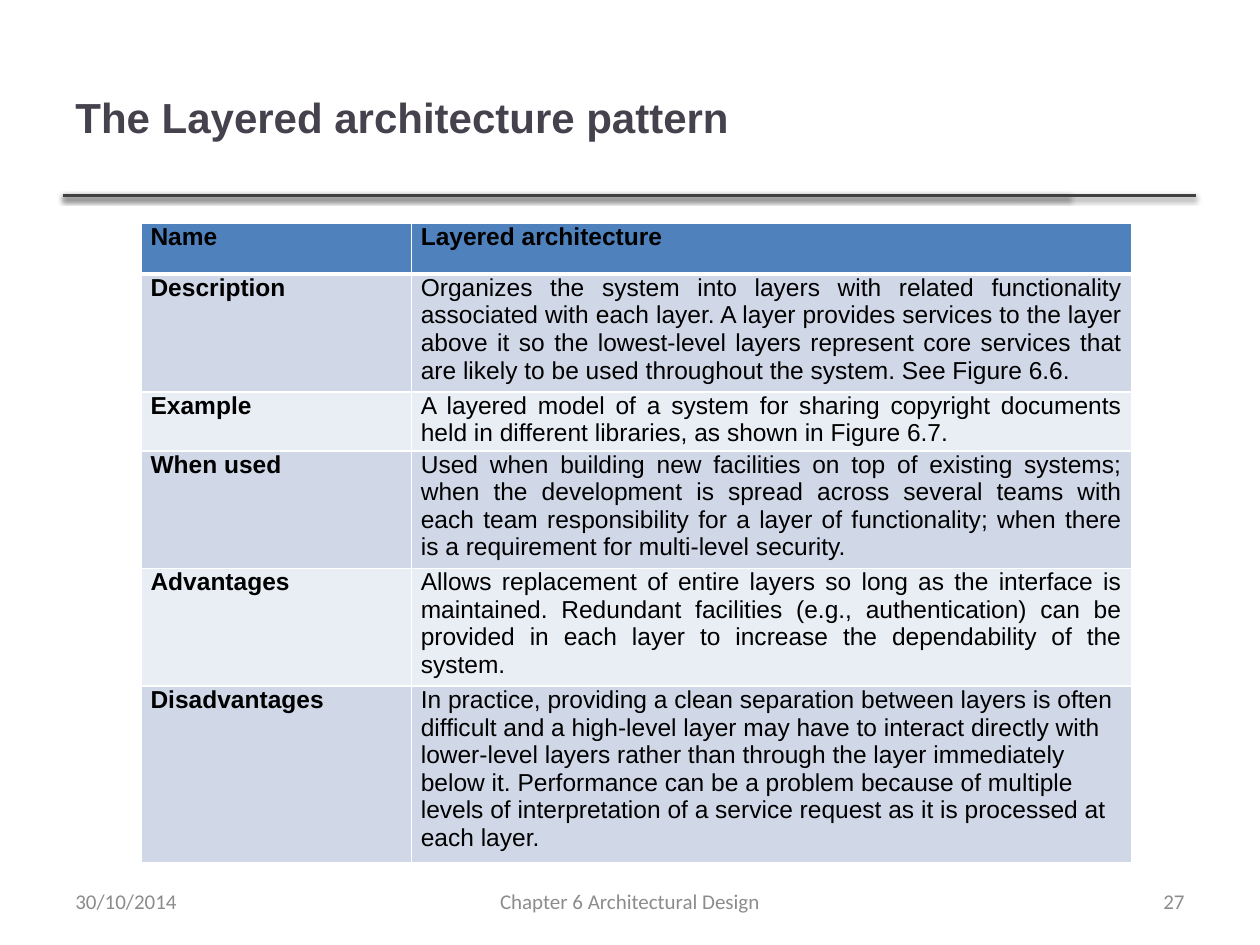
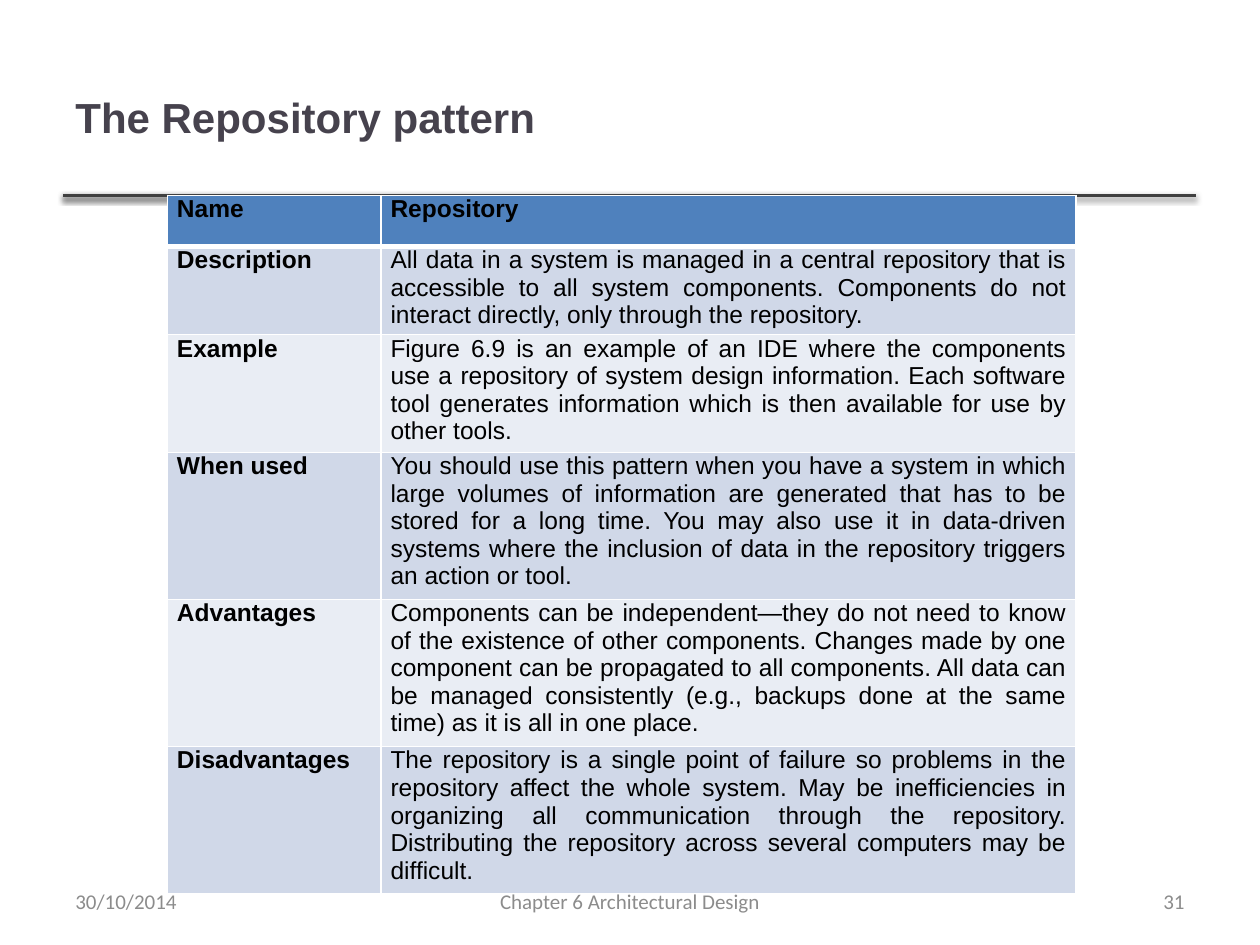
from lxml.etree import SubElement
from pptx import Presentation
from pptx.dml.color import RGBColor
from pptx.enum.shapes import MSO_CONNECTOR
from pptx.enum.text import MSO_ANCHOR, PP_ALIGN
from pptx.oxml.ns import qn
from pptx.util import Inches, Pt

# Slide grid: 100 columns by 75 rows
COLS, ROWS = 100, 75
WIDE, HIGH = Inches(10), Inches(7.5)

BLACK = RGBColor(0x00, 0x00, 0x00)
WHITE = RGBColor(0xFF, 0xFF, 0xFF)
TITLE = RGBColor(0x46, 0x42, 0x4D)
RULE = RGBColor(0x40, 0x40, 0x40)
FOOT = RGBColor(0x8C, 0x8C, 0x8C)
HEAD = RGBColor(0x4F, 0x81, 0xBD)
BANDS = [RGBColor(0xE9, 0xED, 0xF4), RGBColor(0xD0, 0xD8, 0xE8)]

LEFT, MID, RIGHT, FULL = (
    PP_ALIGN.LEFT, PP_ALIGN.CENTER, PP_ALIGN.RIGHT, PP_ALIGN.JUSTIFY)
LABELS = ["Name", "Description", "Example", "When used", "Advantages",
          "Disadvantages"]
ROW = 4.06  # least height of a table row; longer texts make it grow


def col(n):
    return round(WIDE * n / COLS)


def row(n):
    return round(HIGH * n / ROWS)


def place(box):
    x, y, w, h = box
    return col(x), row(y), col(w), row(h)


def write(frame, text, size=14, font="Arial", color=BLACK, bold=False,
          align=LEFT):
    frame.word_wrap = True
    para = frame.paragraphs[0]
    para.alignment = align
    run = para.add_run()
    run.text = text
    run.font.size = Pt(size)
    run.font.name = font
    run.font.bold = bold
    run.font.color.rgb = color


def label(slide, box, text, **style):
    frame = slide.shapes.add_textbox(*place(box)).text_frame
    frame.vertical_anchor = MSO_ANCHOR.MIDDLE
    write(frame, text, **style)


def shade(line):
    """Give a rule its soft shadow straight below."""
    effects = SubElement(line._element.spPr, qn("a:effectLst"))
    shadow = SubElement(effects, qn("a:outerShdw"), blurRad=str(Pt(3.1)),
                        dist=str(Pt(1.6)), dir="5400000", rotWithShape="0")
    tint = SubElement(shadow, qn("a:srgbClr"), val=str(BLACK))
    SubElement(tint, qn("a:alpha"), val="38000")


def header(slide, box, text):
    x, y, w, h = box
    # Two rules along the lower edge, the second one longer
    for end in (x + 79.9, x + 89.9):
        line = slide.shapes.add_connector(
            MSO_CONNECTOR.STRAIGHT, col(x), row(y + h), col(end), row(y + h))
        line.line.color.rgb = RULE
        line.line.width = Pt(2)
        shade(line)
    label(slide, box, text, size=24, color=TITLE, bold=True)


def footer(slide, box, page):
    x, y, w, h = box
    side, main = 23.3, 31.7
    parts = [(x, side, "30/10/2014", LEFT),
             (x + (w - main) / 2, main, "Chapter 6 Architectural Design", MID),
             (x + w - side, side, str(page), RIGHT)]
    for left, width, text, align in parts:
        label(slide, (left, y, width, h), text, size=12, font="Calibri",
              color=FOOT, align=align)


def border(cell, **widths):
    props = cell._tc.get_or_add_tcPr()
    for side in "LRTB":
        line = SubElement(props, qn("a:ln" + side),
                          w=str(Pt(widths.get(side, 1))))
        fill = SubElement(line, qn("a:solidFill"))
        SubElement(fill, qn("a:srgbClr"), val=str(WHITE))


def grid(slide, spot, widths, texts, last):
    """Table of labels and texts; last is the alignment of the last text."""
    box = (*spot, sum(widths), ROW * len(LABELS))
    table = slide.shapes.add_table(len(LABELS), 2, *place(box)).table
    for part, width in zip(table.columns, widths):
        part.width = col(width)
    for i, pair in enumerate(zip(LABELS, texts)):
        for j, text in enumerate(pair):
            cell = table.cell(i, j)
            cell.margin_left = cell.margin_right = col(0.75)
            cell.margin_top = cell.margin_bottom = 0
            # Thick line under the head row
            border(cell, B=3 if i == 0 else 1, T=3 if i == 1 else 1)
            cell.fill.solid()
            cell.fill.fore_color.rgb = BANDS[i % 2] if i else HEAD
            ends = i == len(LABELS) - 1 and j == 1
            write(cell.text_frame, text, bold=i == 0 or j == 0,
                  align=last if ends else FULL)


def pattern(deck, title, page, spot, widths, texts, last=FULL):
    slide = deck.slides.add_slide(deck.slide_layouts[6])
    header(slide, (5, 3, 79.8, 12.5), title)
    grid(slide, spot, widths, texts, last)
    footer(slide, (5, 69.5, 90, 4), page)


LAYERS = [
    "Layered architecture",
    "Organizes the system into layers with related functionality associated "
    "with each layer. A layer provides services to the layer above it so the "
    "lowest-level layers represent core services that are likely to be used "
    "throughout the system. See Figure 6.6.",
    "A layered model of a system for sharing copyright documents held in "
    "different libraries, as shown in Figure 6.7.",
    "Used when building new facilities on top of existing systems; when the "
    "development is spread across several teams with each team "
    "responsibility for a layer of functionality; when there is a "
    "requirement for multi-level security.",
    "Allows replacement of entire layers so long as the interface is "
    "maintained. Redundant facilities (e.g., authentication) can be provided "
    "in each layer to increase the dependability of the system.",
    "In practice, providing a clean separation between layers is often "
    "difficult and a high-level layer may have to interact directly with "
    "lower-level layers rather than through the layer immediately below it. "
    "Performance can be a problem because of multiple levels of "
    "interpretation of a service request as it is processed at each layer.",
]
STORE = [
    "Repository",
    "All data in a system is managed in a central repository that is "
    "accessible to all system components. Components do not interact "
    "directly, only through the repository.",
    "Figure 6.9 is an example of an IDE where the components use a "
    "repository of system design information. Each software tool generates "
    "information which is then available for use by other tools.",
    "You should use this pattern when you have a system in which large "
    "volumes of information are generated that has to be stored for a long "
    "time. You may also use it in data-driven systems where the inclusion of "
    "data in the repository triggers an action or tool.",
    "Components can be independent—they do not need to know of the existence "
    "of other components. Changes made by one component can be propagated to "
    "all components. All data can be managed consistently (e.g., backups "
    "done at the same time) as it is all in one place.",
    "The repository is a single point of failure so problems in the "
    "repository affect the whole system. May be inefficiencies in organizing "
    "all communication through the repository. Distributing the repository "
    "across several computers may be difficult.",
]


def main():
    deck = Presentation()
    deck.slide_width, deck.slide_height = WIDE, HIGH
    pattern(deck, "The Layered architecture pattern", 27,
            (11.2, 17.7), (21.45, 57.15), LAYERS, last=LEFT)
    pattern(deck, "The Repository pattern", 31,
            (13.3, 15.5), (16.95, 55.15), STORE)
    deck.save("out.pptx")


if __name__ == "__main__":
    main()
